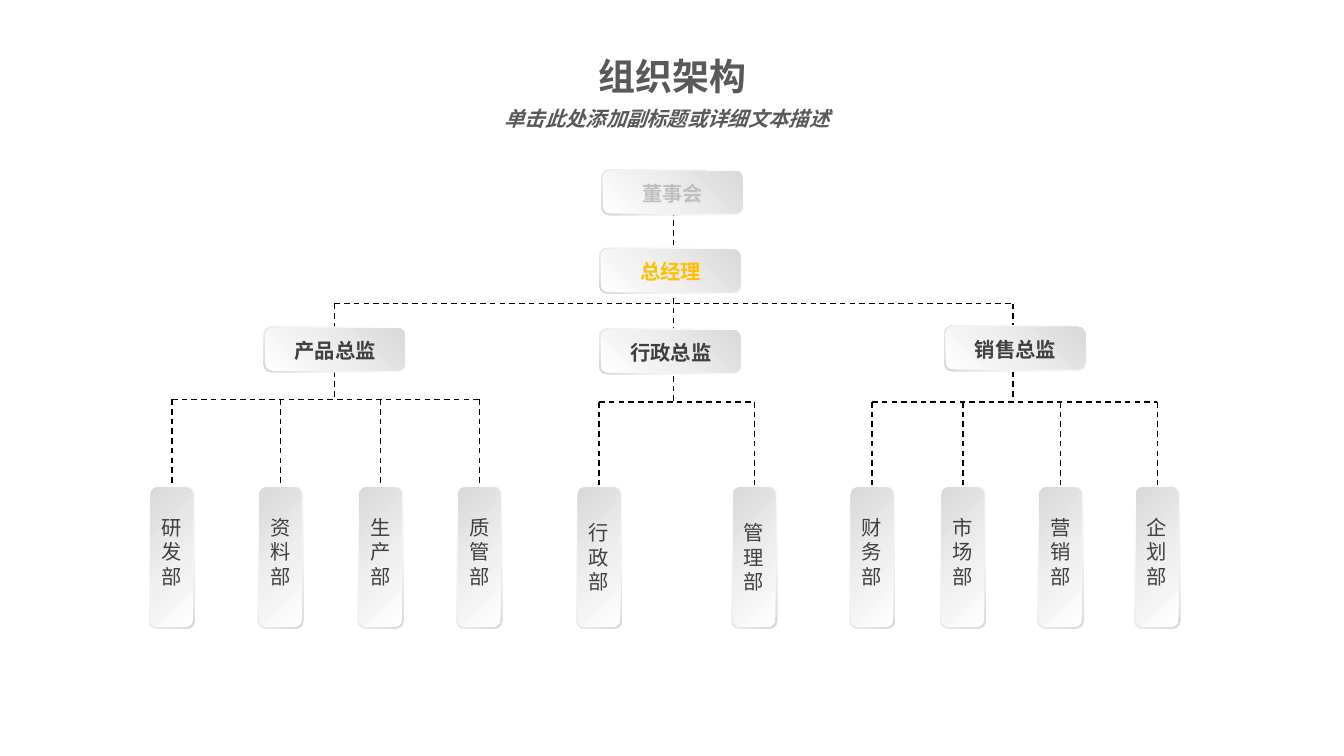
from copy import deepcopy
from lxml.etree import SubElement
from pptx import Presentation
from pptx.dml.color import RGBColor
from pptx.enum.dml import MSO_LINE
from pptx.enum.shapes import MSO_CONNECTOR, MSO_SHAPE
from pptx.enum.text import PP_ALIGN
from pptx.oxml.ns import qn
from pptx.util import Cm, Pt

FONT = "Noto Sans CJK SC"
BLACK = RGBColor(0x00, 0x00, 0x00)
WHITE = RGBColor(0xFF, 0xFF, 0xFF)
MIST = RGBColor(0xF2, 0xF2, 0xF2)
PALE = RGBColor(0xF0, 0xF0, 0xF0)
SILVER = RGBColor(0xD9, 0xD9, 0xD9)
FADED = RGBColor(0xBF, 0xBF, 0xBF)
AMBER = RGBColor(0xFF, 0xC0, 0x00)
DARK = RGBColor(0x40, 0x40, 0x40)
TITLE_GRAY = RGBColor(0x59, 0x59, 0x59)
SUBTITLE_GRAY = RGBColor(0x58, 0x59, 0x5B)

CARD_LONG, CARD_SHORT, RIM = 3.6, 1.15, 0.04
DIRECTOR_BUS = 7.65
DEPARTMENT_TOP = 12.24

prs = Presentation()
prs.slide_width, prs.slide_height = Cm(33.88), Cm(19.05)
slide = prs.slides.add_slide(prs.slide_layouts[6])
shapes = slide.shapes


def add_label(words, left, top, width, height, color, size=14.5, bold=True, italic=False):
    frame = shapes.add_textbox(Cm(left), Cm(top), Cm(width), Cm(height)).text_frame
    frame.word_wrap = True
    frame.margin_left = frame.margin_right = frame.margin_top = frame.margin_bottom = 0
    paragraph = frame.paragraphs[0]
    paragraph.alignment = PP_ALIGN.CENTER
    run = paragraph.add_run()
    run.text = words
    run.font.name, run.font.size = FONT, Pt(size)
    run.font.bold, run.font.italic = bold, italic
    run.font.color.rgb = color
    SubElement(run.font._element, qn("a:ea")).set("typeface", FONT)


def add_card(left, top, width, height, turn=0):
    layers = [(0, 225, MIST, 0.62), (RIM, 45, PALE, 0.42)]
    for inset, angle, middle, position in layers:
        card = shapes.add_shape(
            MSO_SHAPE.ROUNDED_RECTANGLE, Cm(left + inset), Cm(top + inset),
            Cm(width - 2 * inset), Cm(height - 2 * inset))
        card.shadow.inherit = False
        card.line.fill.background()
        card.fill.gradient()
        card.fill.gradient_angle = angle + turn
        stop_list = card._element.spPr.find(qn("a:gradFill")).find(qn("a:gsLst"))
        stop_list.insert(1, deepcopy(stop_list[0]))
        blend = [(0, WHITE), (position, middle), (1, SILVER)]
        for stop, (place, color) in zip(card.fill.gradient_stops, blend):
            stop.position = place
            stop.color.rgb = color


leaders = [
    ("董事会", 15.16, 4.27, FADED),
    ("总经理", 15.11, 6.25, AMBER),
    ("产品总监", 6.65, 8.23, DARK),
    ("行政总监", 15.11, 8.28, DARK),
    ("销售总监", 23.8, 8.2, DARK),
]
branches = [
    (8.43, DIRECTOR_BUS, 10.06, 12.98,
     [("研发部", 3.76), ("资料部", 6.5), ("生产部", 9.02), ("质管部", 11.51)]),
    (16.98, 5.31, 10.13, 13.12,
     [("行政部", 14.53), ("管理部", 18.44)]),
    (25.54, DIRECTOR_BUS, 10.13, 12.98,
     [("财务部", 21.41), ("市场部", 23.7), ("营销部", 26.16), ("企划部", 28.6)]),
]

links = [(branches[0][0], DIRECTOR_BUS, branches[-1][0], DIRECTOR_BUS)]
for stem, stem_top, bus, label_top, departments in branches:
    centers = [left + CARD_SHORT / 2 for name, left in departments]
    links.append((centers[0], bus, centers[-1], bus))
    links.append((stem, stem_top, stem, bus))
    links += [(center, bus, center, DEPARTMENT_TOP + 1) for center in centers]

for ends in links:
    link = shapes.add_connector(MSO_CONNECTOR.STRAIGHT, *[Cm(end) for end in ends])
    link.line.color.rgb = BLACK
    link.line.width = Pt(1)
    link.line.dash_style = MSO_LINE.DASH
    SubElement(link._element.spPr, qn("a:effectLst"))

for name, left, top, color in leaders:
    add_card(left, top, CARD_LONG, CARD_SHORT)
    add_label(name, left, top + 0.29, CARD_LONG, 0.61, color)

for stem, stem_top, bus, label_top, departments in branches:
    for name, left in departments:
        add_card(left, DEPARTMENT_TOP, CARD_SHORT, CARD_LONG, turn=90)
        add_label(name, left + 0.14, label_top, 0.86, 1.85, DARK, bold=False)

add_label("组织架构", 13.26, 1.35, 7.37, 1.12, TITLE_GRAY, size=26.4)
add_label("单击此处添加副标题或详细文本描述", 12.42, 2.67, 8.79, 0.61, SUBTITLE_GRAY, italic=True)

prs.save("out.pptx")
